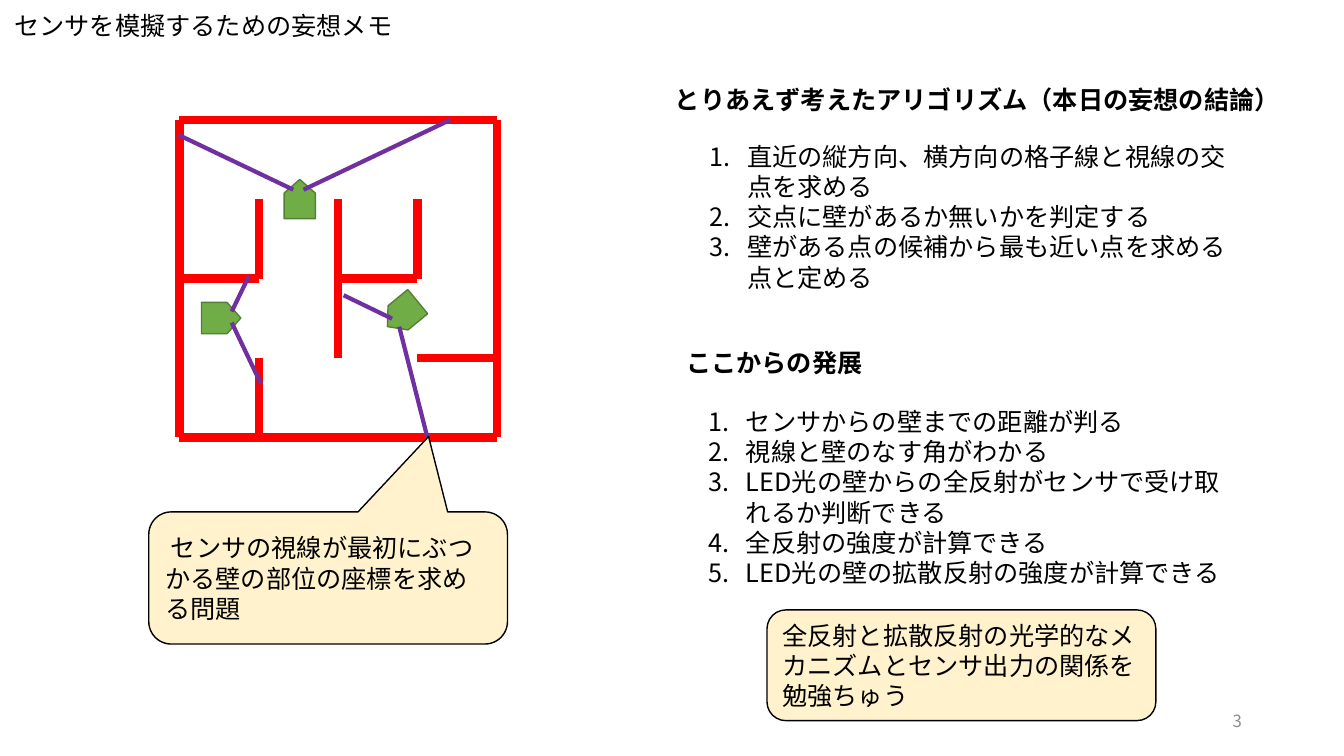
from lxml import etree
from pptx import Presentation
from pptx.dml.color import RGBColor
from pptx.enum.shapes import MSO_CONNECTOR, MSO_SHAPE
from pptx.enum.text import MSO_ANCHOR, PP_ALIGN
from pptx.oxml.ns import qn
from pptx.util import Cm, Pt

STRAIGHT = MSO_CONNECTOR.STRAIGHT
ROBOT = MSO_SHAPE.PENTAGON
BUBBLE = MSO_SHAPE.ROUNDED_RECTANGULAR_CALLOUT
ROUNDED = MSO_SHAPE.ROUNDED_RECTANGLE
LEFT, RIGHT = PP_ALIGN.LEFT, PP_ALIGN.RIGHT
TOP, MIDDLE = MSO_ANCHOR.TOP, MSO_ANCHOR.MIDDLE

BLACK = RGBColor(0x00, 0x00, 0x00)
GRAY = RGBColor(0x8C, 0x8C, 0x8C)
RED = RGBColor(0xFF, 0x00, 0x00)
PURPLE = RGBColor(0x70, 0x30, 0xA0)
GREEN = RGBColor(0x70, 0xAD, 0x47)
DARK_GREEN = RGBColor(0x53, 0x80, 0x35)
CREAM = RGBColor(0xFF, 0xF2, 0xCC)

FONT = "Noto Sans CJK JP"
LINE_HEIGHT = 1.2
INDENT = Cm(0.95)

# Maze grid in cm: corner of the outer wall and size of one cell
MAZE_X, MAZE_Y, CELL = 4.52, 3.02, 2

# Walls as (column, row) to (column, row)
WALLS = [
    (0, 0, 0, 4), (4, 0, 4, 4), (0, 0, 4, 0), (0, 4, 4, 4),
    (1, 1, 1, 2), (1, 3, 1, 4), (2, 1, 2, 2), (2, 2, 2, 3),
    (3, 1, 3, 2), (0, 2, 1, 2), (2, 2, 3, 2), (3, 3, 4, 3),
]

# Robots as left, top, rotation, followed by their two lines of sight
ROBOTS = [
    (5.08, 7.62, 0, [(5.84, 7.85, 6.27, 6.96), (5.84, 8.13, 6.58, 9.68)]),
    (7.06, 4.62, 270, [(7.39, 4.78, 4.5, 3.4), (7.65, 4.78, 11.35, 3.02)]),
    (9.65, 7.52, 140.5, [(10.06, 8.23, 10.77, 11.02), (9.88, 8.03, 8.66, 7.44)]),
]

ALGORITHM = [
    "直近の縦方向、横方向の格子線と視線の交点を求める",
    "交点に壁があるか無いかを判定する",
    "壁がある点の候補から最も近い点を求める点と定める",
]
NEXT_STEPS = [
    "センサからの壁までの距離が判る",
    "視線と壁のなす角がわかる",
    "LED光の壁からの全反射がセンサで受け取れるか判断できる",
    "全反射の強度が計算できる",
    "LED光の壁の拡散反射の強度が計算できる",
]


def number(p):
    pPr = p._p.get_or_add_pPr()
    pPr.set("marL", str(INDENT))
    pPr.set("indent", str(-INDENT))
    etree.SubElement(pPr, qn("a:buFont"), typeface="+mj-lt")
    etree.SubElement(pPr, qn("a:buAutoNum"), type="arabicPeriod")


def fill_text(sp, lines, size=18, color=BLACK, bold=False, align=LEFT,
              anchor=TOP, numbered=False):
    tf = sp.text_frame
    tf.word_wrap = True
    tf.vertical_anchor = anchor
    font_format = {"size": Pt(size), "bold": bold, "name": FONT}
    for i, line in enumerate(lines):
        p = tf.paragraphs[0] if i == 0 else tf.add_paragraph()
        p.alignment = align
        p.line_spacing = Pt(size * LINE_HEIGHT)
        if numbered:
            number(p)
        r = p.add_run()
        r.text = line
        r.font.color.rgb = color
        for name, value in font_format.items():
            setattr(r.font, name, value)
        etree.SubElement(r._r.get_or_add_rPr(), qn("a:ea"), typeface=FONT)


def add_text(s, box, lines, **text_format):
    sp = s.shapes.add_textbox(*map(Cm, box))
    fill_text(sp, lines, **text_format)


def add_line(shapes, ends, color, width):
    line = shapes.add_connector(STRAIGHT, *map(Cm, ends))
    line.line.color.rgb = color
    line.line.width = Pt(width)
    etree.SubElement(line._element.spPr, qn("a:effectLst"))


def add_box(shapes, kind, box, fill, outline, adjustments):
    sp = shapes.add_shape(kind, *map(Cm, box))
    sp.shadow.inherit = False
    sp.fill.solid()
    sp.fill.fore_color.rgb = fill
    sp.line.color.rgb = outline
    sp.line.width = Pt(1)
    for i, value in enumerate(adjustments):
        sp.adjustments[i] = value
    return sp


def add_note(s, kind, box, text, adjustments):
    sp = add_box(s.shapes, kind, box, CREAM, BLACK, adjustments)
    fill_text(sp, [text], anchor=MIDDLE)


def add_maze(s):
    shapes = s.shapes.add_group_shape().shapes
    for x1, y1, x2, y2 in WALLS:
        ends = (MAZE_X + x1 * CELL, MAZE_Y + y1 * CELL,
                MAZE_X + x2 * CELL, MAZE_Y + y2 * CELL)
        add_line(shapes, ends, RED, 6)
    for left, top, rotation, sights in ROBOTS:
        robot = add_box(shapes, ROBOT, (left, top, 0.99, 0.79),
                        GREEN, DARK_GREEN, [0.44])
        robot.rotation = rotation
        for ends in sights:
            add_line(shapes, ends, PURPLE, 3)


def main():
    prs = Presentation()
    prs.slide_width, prs.slide_height = Cm(33.87), Cm(19.05)
    s = prs.slides.add_slide(prs.slide_layouts[6])

    # Page number and title
    add_text(s, (23.93, 17.65, 7.62, 1.02), ["3"], size=12, color=GRAY,
             align=RIGHT, anchor=MIDDLE)
    add_text(s, (-0.03, 0.13, 17.9, 1.02), [" センサを模擬するための妄想メモ"])

    # Maze with the problem statement
    add_maze(s)
    add_note(s, BUBBLE, (3.75, 12.9, 9.04, 3.33),
             " センサの視線が最初にぶつかる壁の部位の座標を求める問題",
             [0.28, -1.07, 0.17])

    # Algorithm
    add_text(s, (16.76, 2.01, 16.05, 1.02),
             ["とりあえず考えたアリゴリズム（本日の妄想の結論）"], bold=True)
    add_text(s, (17.63, 3.43, 13.97, 4.11), ALGORITHM, numbered=True)

    # Next steps
    add_text(s, (17.04, 8.64, 16.05, 1.02), ["ここからの発展"], bold=True)
    add_text(s, (17.6, 10.11, 13.97, 4.88), NEXT_STEPS, numbered=True)
    add_note(s, ROUNDED, (19.33, 15.37, 9.8, 2.79),
             "全反射と拡散反射の光学的なメカニズムとセンサ出力の関係を勉強ちゅう",
             [0.17])

    prs.save("out.pptx")


main()
